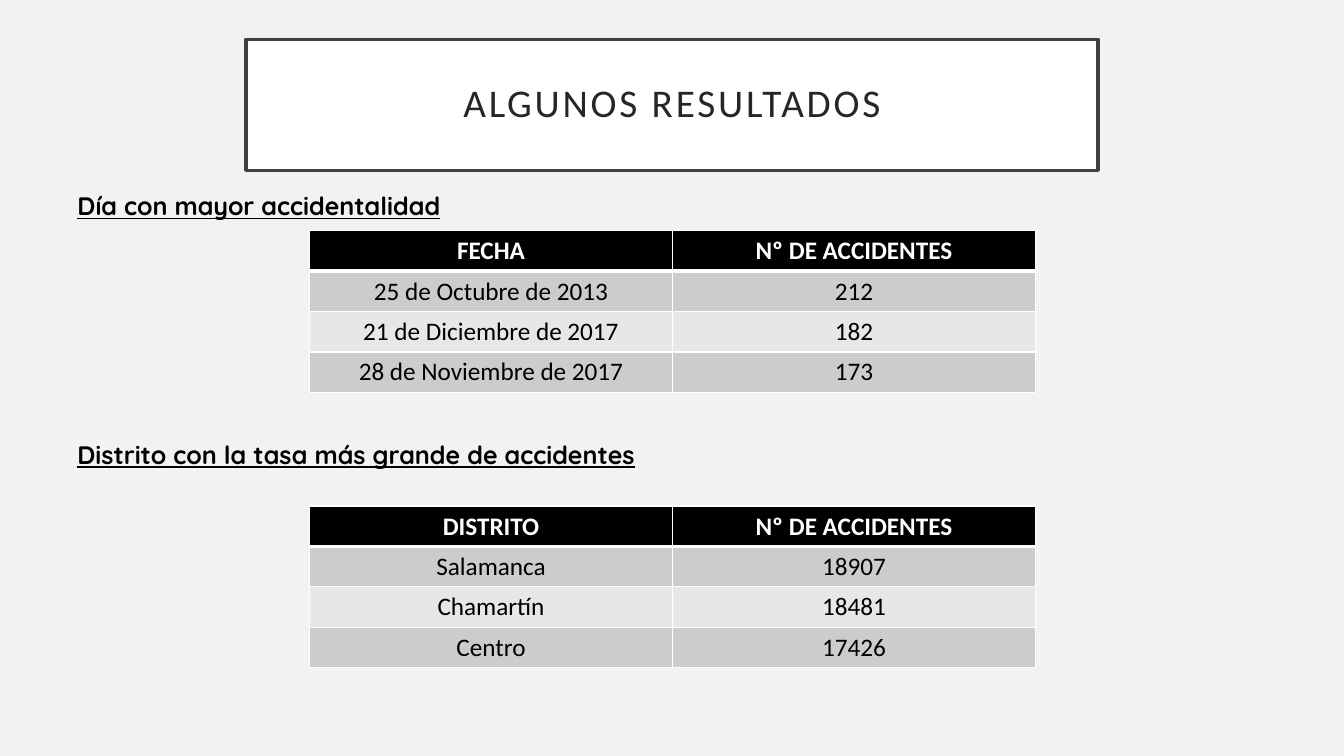
from dataclasses import dataclass

from lxml import etree
from pptx import Presentation
from pptx.dml.color import RGBColor
from pptx.enum.shapes import MSO_SHAPE
from pptx.enum.text import MSO_ANCHOR, PP_ALIGN
from pptx.oxml.ns import qn
from pptx.util import Inches, Pt

RECT = MSO_SHAPE.RECTANGLE
MIDDLE = MSO_ANCHOR.MIDDLE
LEFT, CENTER = PP_ALIGN.LEFT, PP_ALIGN.CENTER


@dataclass(frozen=True)
class Theme:
    back: str = "F2F2F2"
    white: str = "FFFFFF"
    black: str = "000000"
    frame: str = "404040"
    title: str = "262626"
    bands: tuple = ("CCCCCC", "E7E7E7")
    body: str = "Calibri"
    accent: str = "Quicksand"
    large: int = 28
    normal: int = 18


def paint(fill, color):
    fill.solid()
    fill.fore_color.rgb = RGBColor.from_string(color)


def edge(cell, side, width, color):
    """Draw one border of a cell; side is L, R, T or B."""
    props = cell._tc.get_or_add_tcPr()
    line = etree.SubElement(props, qn(f"a:ln{side}"), w=str(Pt(width)))
    fill = etree.SubElement(line, qn("a:solidFill"))
    etree.SubElement(fill, qn("a:srgbClr"), val=color)


class Deck:
    def __init__(self, theme):
        self.theme = theme
        self.file = Presentation()
        self.file.slide_width = Inches(13.33)
        self.file.slide_height = Inches(7.5)
        self.slide = self.file.slides.add_slide(self.file.slide_layouts[6])
        paint(self.slide.background.fill, theme.back)

    def label(self, frame, text, color, align=LEFT, space=1.0, **format):
        """Fill a text frame with one line; format holds font values."""
        par = frame.paragraphs[0]
        par.alignment, par.line_spacing = align, space
        run = par.add_run()
        run.text = text
        for name, value in format.items():
            setattr(run.font, name, value)
        run.font.color.rgb = RGBColor.from_string(color)
        return run

    def title(self, text, *box):
        look = self.theme
        shape = self.slide.shapes.add_shape(RECT, *map(Inches, box))
        shape.shadow.inherit = False
        paint(shape.fill, look.white)
        paint(shape.line.fill, look.frame)
        shape.line.width = Pt(2.5)
        frame = shape.text_frame
        frame.word_wrap, frame.vertical_anchor = True, MIDDLE
        for side in ("left", "top", "right", "bottom"):
            setattr(frame, f"margin_{side}", Inches(0.2))
        run = self.label(frame, text, look.title, CENTER, 0.9,
                         name=look.body, size=Pt(look.large))
        run.font._element.set("spc", "200")

    def heading(self, text, *box, space=1.0):
        look = self.theme
        frame = self.slide.shapes.add_textbox(*map(Inches, box)).text_frame
        frame.word_wrap = True
        self.label(frame, text, look.black, space=space, name=look.accent,
                   size=Pt(look.normal), bold=True, underline=True)

    def table(self, rows, left, top, width, height):
        look = self.theme
        box = map(Inches, (left, top, width, height))
        grid = self.slide.shapes.add_table(len(rows), len(rows[0]), *box).table
        for i, row in enumerate(rows):
            head = i == 0
            color = look.white if head else look.black
            back = look.black if head else look.bands[(i - 1) % 2]
            for j, text in enumerate(row):
                cell = grid.cell(i, j)
                self.label(cell.text_frame, text, color, CENTER,
                           name=look.body, size=Pt(look.normal), bold=head)
                for side in "LRTB":
                    thick = (head and side == "B") or (i == 1 and side == "T")
                    edge(cell, side, 3 if thick else 1, look.white)
                paint(cell.fill, back)


def main():
    deck = Deck(Theme())
    count = "Nº DE ACCIDENTES"
    days = [("FECHA", count), ("25 de Octubre de 2013", "212"),
            ("21 de Diciembre de 2017", "182"),
            ("28 de Noviembre de 2017", "173")]
    zones = [("DISTRITO", count), ("Salamanca", "18907"),
             ("Chamartín", "18481"), ("Centro", "17426")]

    deck.title("ALGUNOS RESULTADOS", 2.44, 0.39, 8.45, 1.3)
    deck.heading("Día con mayor accidentalidad", 0.67, 1.69, 11.18, 0.5,
                 space=1.5)
    deck.heading("Distrito con la tasa más grande de accidentes",
                 0.67, 4.31, 5.8, 0.71)
    for rows, top in ((days, 2.29), (zones, 5.02)):
        deck.table(rows, 3.07, top, 7.2, 1.6)
    deck.file.save("out.pptx")


if __name__ == "__main__":
    main()
